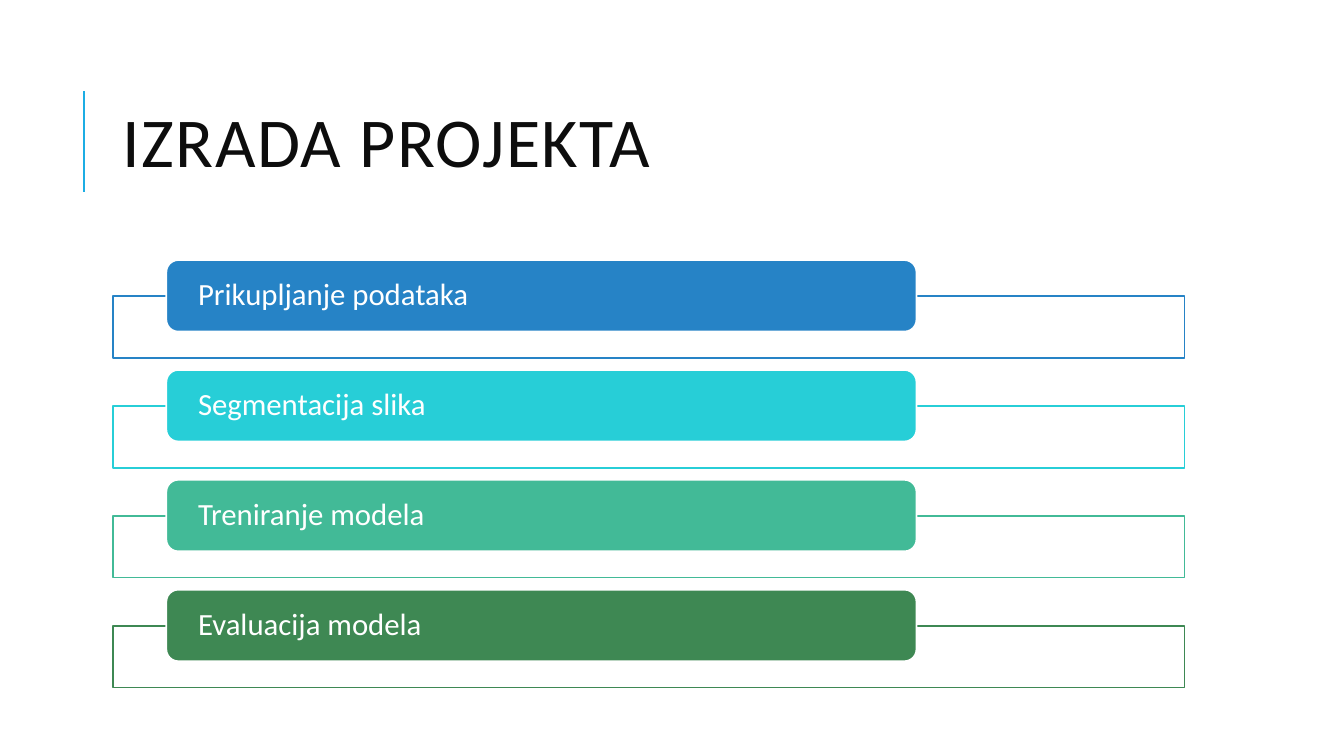
from pptx import Presentation
from pptx import util as u
from pptx.dml.color import RGBColor
from pptx.enum import shapes, text
from pptx.oxml import ns

PX = 9144
STEPS = [
    ("Prikupljanje podataka", "2683C6"),
    ("Segmentacija slika", "27CED7"),
    ("Treniranje modela", "42BA97"),
    ("Evaluacija modela", "3E8853"),
]


def px(*lengths):
    """Turn whole pixels into EMU."""
    return [n * PX for n in lengths]


def rgb(value):
    """Make a colour from a hex string."""
    return RGBColor.from_string(value)


def write(sp, words, size, color, spacing, inset_x, inset_y):
    """Put one left-aligned, vertically centred line into a shape."""
    tf = sp.text_frame
    side, edge = px(inset_x, inset_y)
    frame = {"word_wrap": True, "vertical_anchor": text.MSO_ANCHOR.MIDDLE,
             "margin_left": side, "margin_right": side,
             "margin_top": edge, "margin_bottom": edge}
    for key, value in frame.items():
        setattr(tf, key, value)
    p = tf.paragraphs[0]
    p.alignment = text.PP_ALIGN.LEFT
    p.line_spacing = spacing
    r = p.add_run()
    r.text = words
    for key, value in {"name": "Calibri", "size": u.Pt(size)}.items():
        setattr(r.font, key, value)
    r.font.color.rgb = rgb(color)
    return r


def add_box(s, kind, box, fill, line):
    """Add a filled and outlined preset shape."""
    sp = s.shapes.add_shape(kind, *px(*box))
    sp.shadow.inherit = False
    sp.fill.solid()
    sp.fill.fore_color.rgb = rgb(fill)
    sp.line.color.rgb = rgb(line)
    sp.line.width = u.Pt(1.25)
    return sp


def add_title(s, x, y, w, h):
    """Draw the heading with its accent rule on the left."""
    rule = s.shapes.add_connector(
        shapes.MSO_CONNECTOR.STRAIGHT, *px(x - 29, y + 126, x - 29, y + 26))
    rule.line.color.rgb = rgb("1CADE4")
    rule.line.width = u.Pt(1.5)
    rule._element.spPr.append(
        rule._element.makeelement(ns.qn("a:effectLst"), {}))
    sp = s.shapes.add_textbox(*px(x, y, w, h))
    r = write(sp, "IZRADA PROJEKTA", 50, "0D0D0D", 0.8, 10, 5)
    r._r.get_or_add_rPr().set("spc", "100")


def add_step(s, x, y, w, label, color):
    """Draw one step: an outlined bar with a labelled pill over it."""
    add_box(s, shapes.MSO_SHAPE.RECTANGLE, (x, y + 36, w, 61),
            "FFFFFF", color)
    pill = add_box(s, shapes.MSO_SHAPE.ROUNDED_RECTANGLE,
                   (x + 53, y, w * 7 // 10, 71), color, "FFFFFF")
    write(pill, label, 22, "FFFFFF", 0.9, 28, 0)


def add_steps(s, x, y, w, pitch):
    """Stack the project steps at an equal pitch."""
    for i, (label, color) in enumerate(STEPS):
        add_step(s, x, y + i * pitch, w, label, color)


def main():
    """Build and save the slide."""
    prs = Presentation()
    prs.slide_width, prs.slide_height = px(1333, 750)
    s = prs.slides.add_slide(prs.slide_layouts[6])
    add_title(s, 112, 64, 1063, 164)
    add_steps(s, 112, 258, 1063, 109)
    prs.save("out.pptx")


if __name__ == "__main__":
    main()
